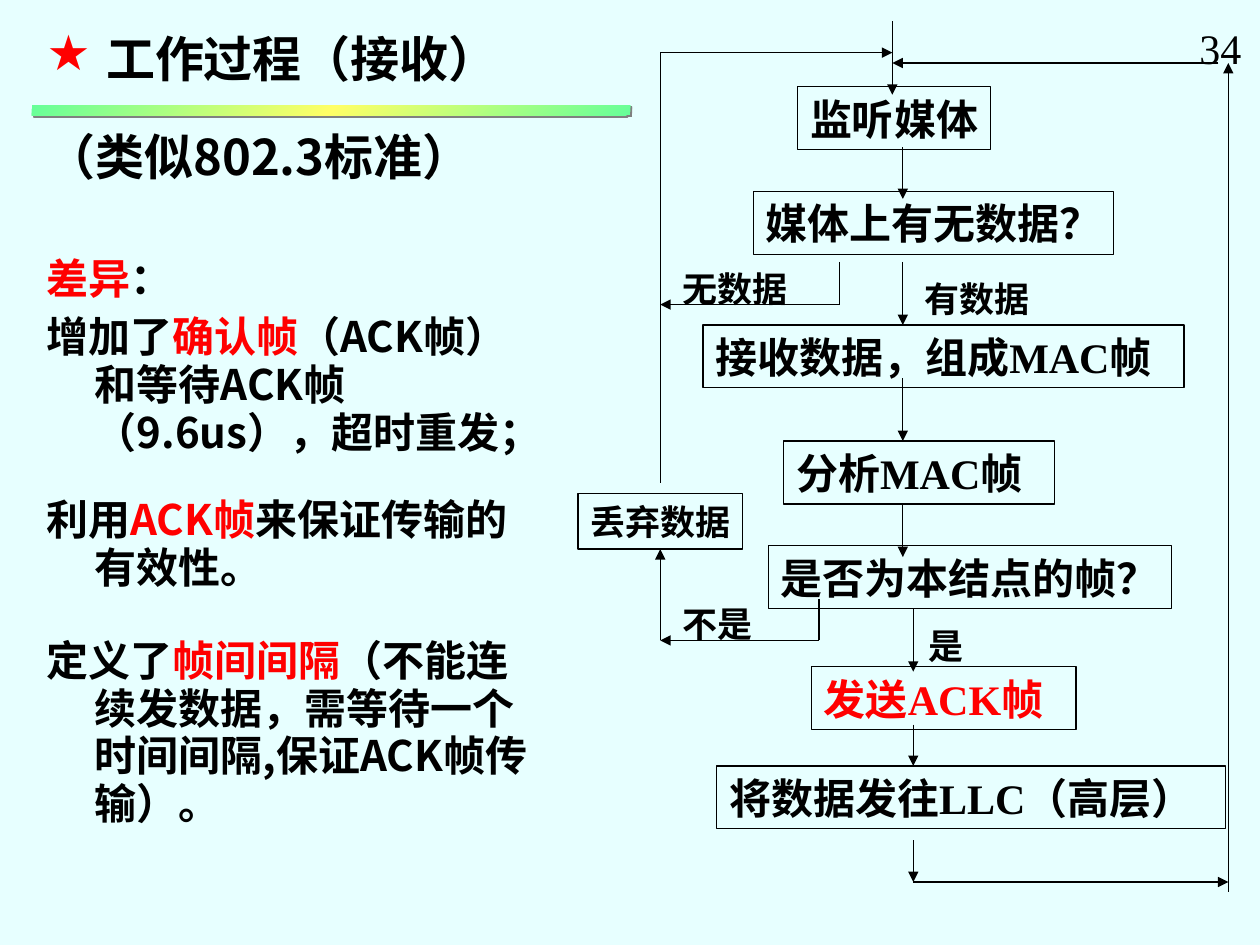
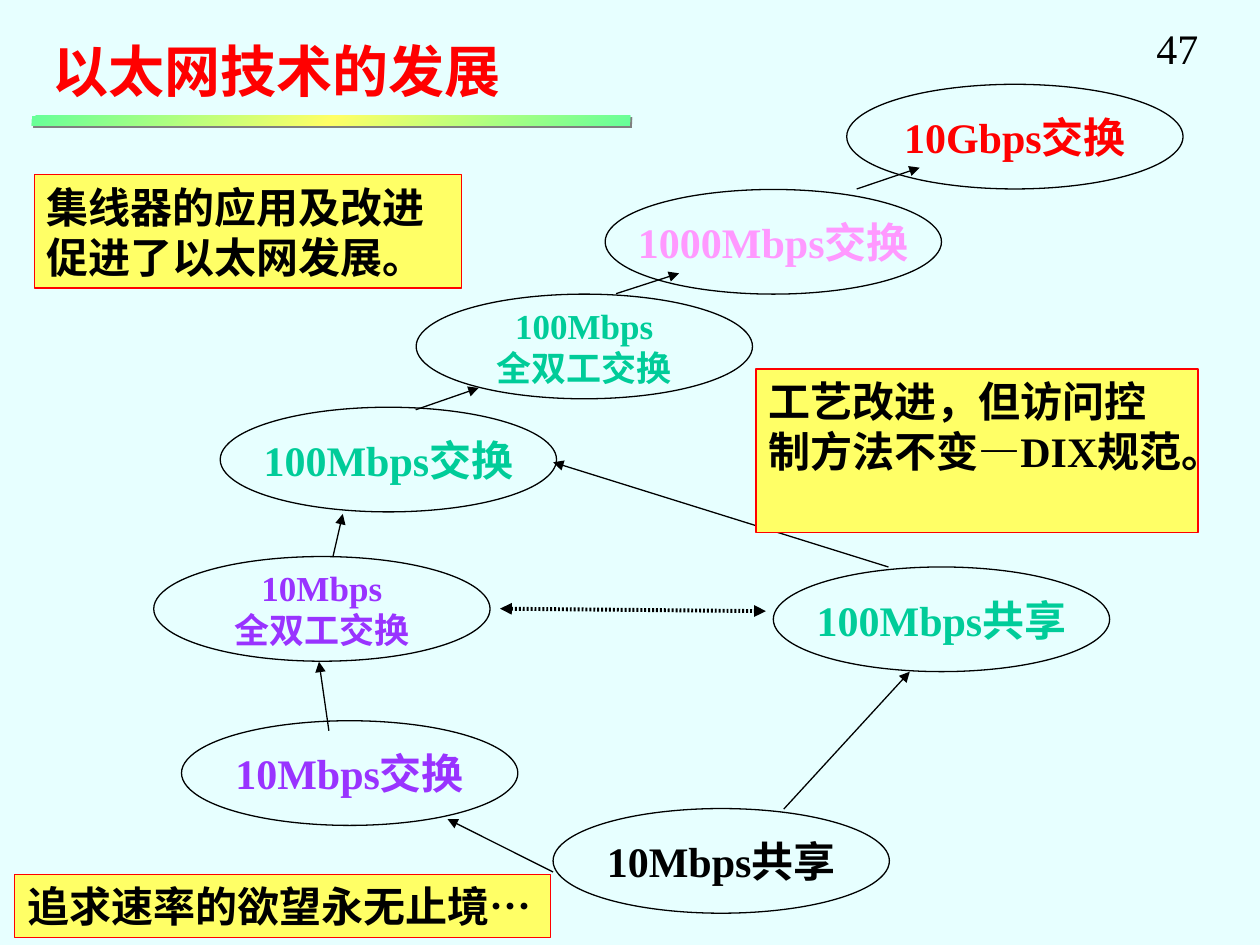
from lxml.etree import SubElement
from pptx import Presentation
from pptx.dml.color import RGBColor
from pptx.enum.shapes import MSO_CONNECTOR, MSO_SHAPE
from pptx.enum.text import MSO_ANCHOR, PP_ALIGN
from pptx.oxml.ns import qn
from pptx.util import Cm, Pt

COLORS = {
    "page": "E7FFFF", "black": "000000", "red": "FF0000", "yellow": "FFFF66",
    "green": "66FF99", "teal": "00CC99", "violet": "9933FF", "pink": "FF99FF",
    "shadow": "808080",
}
SERIF, SANS = "Times New Roman", "Noto Sans CJK SC"
INSET = 0.25
TIGHT = 0.95          # line spacing of the starred title and the body

# ---- Slide 1: receiving process (lengths in cm) ----
RECEIVE = {"title": "工作过程（接收）", "number": "34", "number_left": 23.93, "bar_top": 2.12}
HANG = 0.97
BODY_BOX = (0.69, 2.51, 10.59, 15.82)
# size, space before in points, spans of (text, colour)
BODY = [
    (28, 7, [("（类似802.3标准）", "black")]),
    (24, 39.4, [("差异", "red"), ("：", "black")]),
    (24, 6, [("增加了", "black"), ("确认帧", "red"),
             ("（ACK帧）和等待ACK帧（9.6us），超时重发；", "black")]),
    (24, 22.7, [("利用", "black"), ("ACK帧", "red"), ("来保证传输的有效性。", "black")]),
    (24, 25.5, [("定义了", "black"), ("帧间间隔", "red"),
                ("（不能连续发数据，需等待一个时间间隔,保证ACK帧传输）。", "black")]),
]
# text, left, top, width, colour
STEPS = [
    ("监听媒体", 16.08, 1.75, 3.89, "black"),
    ("媒体上有无数据？", 15.19, 3.86, 7.26, "black"),
    ("接收数据，组成MAC帧", 14.17, 6.55, 9.7, "black"),
    ("分析MAC帧", 15.8, 8.89, 5.46, "black"),
    ("是否为本结点的帧？", 15.49, 11, 8.13, "black"),
    ("发送ACK帧", 16.36, 13.44, 5.33, "red"),
    ("将数据发往LLC（高层）", 14.45, 15.44, 10.26, "black"),
]
STEP_HEIGHT = 1.27
DISCARD = ("丢弃数据", 11.65, 9.95, 3.32, 1.12)
BRANCH_LABELS = [("有数据", 18.39, 5.46), ("是", 18.47, 12.45),
                 ("无数据", 13.51, 5.26), ("不是", 13.51, 12.01)]
# vertical lanes of the flow
DROP, ENTRY, MAIN, LOWER, RETURN = 13.31, 17.99, 18.2, 18.41, 24.76
NO_DATA, NOT_MINE = 16.93, 16.51
ARROWS = [
    (ENTRY, 0.43, ENTRY, 1.91),
    (MAIN, 2.97, MAIN, 4.01), (MAIN, 5.28, MAIN, 6.55),
    (MAIN, 7.62, MAIN, 8.89), (MAIN, 10.16, MAIN, 11.23),
    (LOWER, 12.27, LOWER, 13.54), (LOWER, 14.61, LOWER, 15.44),
    (LOWER, 16.94, LOWER, 17.78), (LOWER, 17.78, RETURN, 17.78),
    (RETURN, 17.98, RETURN, 1.27), (24.56, 1.27, ENTRY, 1.27),
    (NO_DATA, 6.14, DROP, 6.14), (DROP, 1.06, ENTRY, 1.06),
    (NOT_MINE, 12.91, DROP, 12.91),
]
PLAIN_LINES = [(NO_DATA, 5.28, NO_DATA, 6.14), (DROP, 1.06, DROP, 9.73),
               (NOT_MINE, 12.07, NOT_MINE, 12.91)]

# ---- Slide 2: growth of Ethernet (lengths in cm) ----
GROWTH = {"title": "以太网技术的发展", "number": "47", "number_left": 23.06, "bar_top": 2.33}
STAGE_SIZE = (6.78, 2.11)
# text, left, top, size, colour
STAGES = [
    ("10Mbps共享", 11.15, 16.3, 24, "black"),
    ("10Mbps交换", 3.66, 14.53, 24, "violet"),
    ("10Mbps\n全双工交换", 3.1, 11.22, 20, "violet"),
    ("100Mbps交换", 4.44, 8.21, 24, "teal"),
    ("100Mbps\n全双工交换", 8.39, 5.93, 20, "teal"),
    ("1000Mbps交换", 12.2, 3.82, 24, "pink"),
    ("100Mbps共享", 15.59, 11.43, 24, "teal"),
    ("10Gbps交换", 17.07, 1.7, 24, "red"),
]
STAGE_ARROWS = [
    (11.15, 17.58, 9.02, 16.51), (6.63, 14.73, 6.43, 13.34),
    (6.71, 11.23, 6.91, 10.36), (8.38, 8.26, 9.65, 7.82),
    (12.42, 5.92, 13.69, 5.51), (15.8, 16.31, 18.34, 13.54),
    (17.91, 11.43, 11.15, 9.32), (17.27, 3.81, 18.54, 3.38),
]
EQUIVALENCE = (10.08, 12.27, 15.44, 12.32)
FINE_DOTS = (50, 50)  # dot and gap, percent of the line width
NOTES = [
    ("集线器的应用及改进\n促进了以太网发展。", 0.69, 3.52, 8.61, 2.29),
    ("工艺改进，但访问控制方法不变—DIX规范。", 15.24, 7.44, 8.91, 3.3),
    ("追求速率的欲望永无止境…", 0.3, 17.63, 10.8, 1.27),
]


# ---- Shared helpers ----
def rgb(name):
    return RGBColor.from_string(COLORS[name])


def style_span(span, size, color, bold=True, font=SERIF):
    span.font.size, span.font.bold, span.font.name = Pt(size), bold, font
    span.font.color.rgb = rgb(color)
    SubElement(span.font._element, qn("a:ea")).set("typeface", SANS)


def set_frame(shape, right=INSET):
    frame = shape.text_frame
    frame.word_wrap = True
    frame.vertical_anchor = MSO_ANCHOR.TOP
    frame.margin_left, frame.margin_right = Cm(INSET), Cm(right)
    frame.margin_top = frame.margin_bottom = Cm(0.13)
    return frame


def write(shape, text, size, color="black", bold=True, font=SERIF,
          align=PP_ALIGN.LEFT, right=INSET):
    frame = set_frame(shape, right)
    frame.text = text
    for para in frame.paragraphs:
        para.alignment = align
        for span in para.runs:
            style_span(span, size, color, bold, font)
    return frame


def add_text(page, place, text, size, **options):
    box = page.shapes.add_textbox(*map(Cm, place))
    return write(box, text, size, **options)


def add_outline(page, kind, place, line="black", fill=None):
    shape = page.shapes.add_shape(kind, *map(Cm, place))
    shape.shadow.inherit = False
    shape.line.color.rgb, shape.line.width = rgb(line), Pt(0.75)
    if fill:
        shape.fill.solid()
        shape.fill.fore_color.rgb = rgb(fill)
    else:
        shape.fill.background()
    return shape


def add_line(page, ends, heads=("tailEnd",), width=0.75, dots=None):
    line = page.shapes.add_connector(MSO_CONNECTOR.STRAIGHT, *map(Cm, ends))
    line.line.color.rgb, line.line.width = rgb("black"), Pt(width)
    outline = line.line._get_or_add_ln()
    if dots:
        dash = SubElement(SubElement(outline, qn("a:custDash")), qn("a:ds"))
        for key, share in zip(("d", "sp"), dots):
            dash.set(key, str(share * 1000))
    for head in heads:
        SubElement(outline, qn(f"a:{head}")).set("type", "triangle")
    SubElement(line._element.spPr, qn("a:effectLst"))
    return line


def set_hanging(para, indent, before):
    para.line_spacing, para.space_before = TIGHT, Pt(before)
    props = para._p.get_or_add_pPr()
    props.set("marL", str(Cm(indent)))
    props.set("indent", str(-Cm(indent)))
    props.set("hangingPunct", "0")
    return props


def add_color(parent, name):
    SubElement(parent, qn("a:srgbClr")).set("val", COLORS[name])


def add_bar(page, top):
    bar = add_outline(page, MSO_SHAPE.RECTANGLE, (0.64, top, 12.07, 0.21))
    bar.line.fill.background()
    bar.fill.gradient()
    bar.fill.gradient_angle = 315
    stops = bar._element.spPr.find(".//" + qn("a:gsLst"))
    for stop in list(stops):
        stops.remove(stop)
    for position, color in [(0, "green"), (50, "yellow"), (100, "green")]:
        stop = SubElement(stops, qn("a:gs"))
        stop.set("pos", str(position * 1000))
        add_color(stop, color)
    effects = bar._element.spPr.find(qn("a:effectLst"))
    shadow = SubElement(effects, qn("a:outerShdw"))
    shadow.set("dist", str(Pt(1.4)))
    shadow.set("dir", str(45 * 60000))
    add_color(shadow, "shadow")


def add_page(deck, head):
    page = deck.slides.add_slide(deck.slide_layouts[6])
    page.background.fill.solid()
    page.background.fill.fore_color.rgb = rgb("page")
    add_bar(page, head["bar_top"])
    add_text(page, (head["number_left"], 0.33, 1.35, 1.27), head["number"], 24,
             bold=False, right=0)
    return page


# ---- Slides ----
def add_body(page):
    box = page.shapes.add_textbox(*map(Cm, BODY_BOX))
    frame = set_frame(box)
    for index, (size, before, spans) in enumerate(BODY):
        para = frame.add_paragraph() if index else frame.paragraphs[0]
        set_hanging(para, HANG, before)
        for text, color in spans:
            span = para.add_run()
            span.text = text
            style_span(span, size, color, font=SANS)


def build_receive(deck):
    page = add_page(deck, RECEIVE)

    # starred title and differences
    title = add_text(page, (0.69, 0.53, 10.59, 1.4), RECEIVE["title"], 28, font=SANS)
    props = set_hanging(title.paragraphs[0], 1.2, 7)
    add_color(SubElement(props, qn("a:buClr")), "red")
    SubElement(props, qn("a:buChar")).set("char", "★")
    add_body(page)

    # flow chart
    for text, left, top, width, color in STEPS:
        step = add_outline(page, MSO_SHAPE.RECTANGLE, (left, top, width, STEP_HEIGHT))
        write(step, text, 24, color, right=0)
    text, *place = DISCARD
    discard = add_outline(page, MSO_SHAPE.RECTANGLE, place)
    write(discard, text, 20, right=0)
    for ends in ARROWS:
        add_line(page, ends)
    for ends in PLAIN_LINES:
        add_line(page, ends, heads=())
    add_line(page, (DROP, 12.91, DROP, 11.07)).end_connect(discard, 2)
    for text, left, top in BRANCH_LABELS:
        width = len(text) * Pt(20).cm + 2 * INSET
        add_text(page, (left, top, width, 1.12), text, 20, right=0)


def build_growth(deck):
    page = add_page(deck, GROWTH)
    add_text(page, (0.81, 0.61, 10.11, 1.63), GROWTH["title"], 32, color="red")

    # stages and the steps between them
    for text, left, top, size, color in STAGES:
        stage = add_outline(page, MSO_SHAPE.OVAL, (left, top, *STAGE_SIZE))
        frame = write(stage, text, size, color, align=PP_ALIGN.CENTER)
        frame.word_wrap = False
        frame.vertical_anchor = MSO_ANCHOR.MIDDLE
    for ends in STAGE_ARROWS:
        add_line(page, ends)
    add_line(page, EQUIVALENCE, ("headEnd", "tailEnd"), 2.25, FINE_DOTS)

    # yellow notes
    for text, *place in NOTES:
        note = add_outline(page, MSO_SHAPE.RECTANGLE, place, "red", "yellow")
        write(note, text, 24)


def main():
    deck = Presentation()
    deck.slide_width, deck.slide_height = Cm(25.4), Cm(19.05)
    build_receive(deck)
    build_growth(deck)
    deck.save("out.pptx")


if __name__ == "__main__":
    main()
